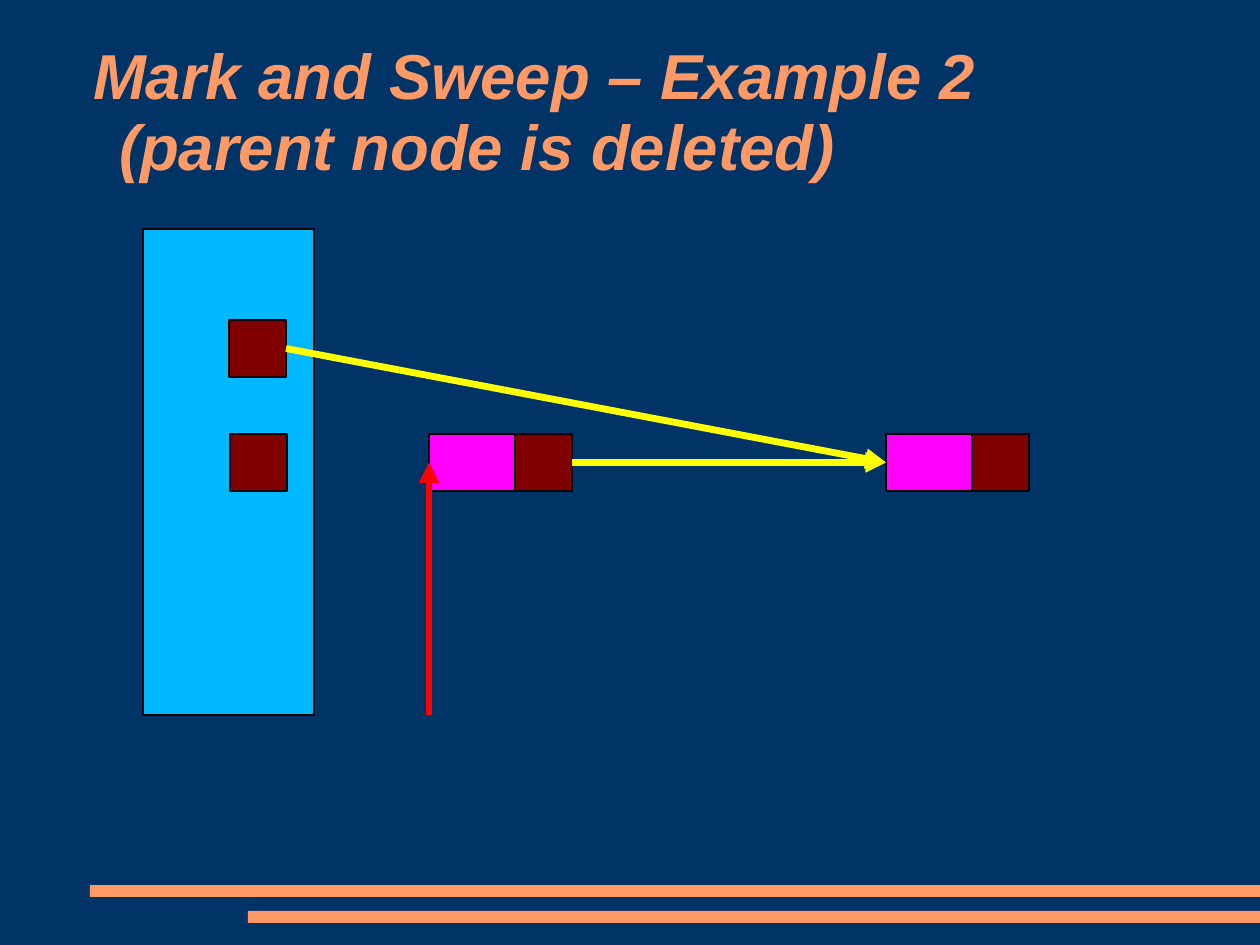
from typing import NamedTuple, Optional

from pptx import Presentation
from pptx.dml.color import RGBColor
from pptx.enum.shapes import MSO_CONNECTOR as Conn, MSO_SHAPE as Shp
from pptx.enum.text import MSO_ANCHOR as Anchor, MSO_AUTO_SIZE as AutoSize, PP_ALIGN as Align
from pptx.oxml.ns import qn
from pptx.util import Emu, Pt

PX = 8000  # EMU per px
WIDTH, HEIGHT = 1260, 945
NAVY, ORANGE, BLACK = "003366", "FF9966", "000000"
SKY, MAROON, MAGENTA = "00B8FF", "800000", "FF00FF"
YELLOW, RED = "FFFF00", "FF0000"
CELL = 57
NODE_W = 143
ROW_Y = 434
TOP, LEFT, BOTTOM, RIGHT = range(4)  # connection sites


class Box(NamedTuple):
    x: int
    y: int
    w: int
    h: int
    fill: str
    line: Optional[str] = BLACK


def px(n: int) -> Emu:
    return Emu(n * PX)


def rgb(hex_color: str) -> RGBColor:
    return RGBColor.from_string(hex_color)


def draw_box(slide, box: Box):
    s = slide.shapes.add_shape(Shp.RECTANGLE, px(box.x), px(box.y), px(box.w), px(box.h))
    s.shadow.inherit = False
    s.fill.solid()
    s.fill.fore_color.rgb = rgb(box.fill)
    if box.line:
        s.line.color.rgb = rgb(box.line)
        s.line.width = Pt(0.75)
    else:
        s.line.fill.background()
    return s


def draw_cell(slide, x: int, y: int):
    return draw_box(slide, Box(x, y, CELL, CELL, MAROON))


def draw_node(slide, x: int):
    """Draw a list node: a data field with a pointer cell at its right end."""
    data = draw_box(slide, Box(x, ROW_Y, NODE_W, CELL, MAGENTA))
    pointer = draw_cell(slide, x + NODE_W - CELL, ROW_Y)
    return data, pointer


def draw_arrow(slide, color: str, target, source=None, start: tuple[int, int] = (0, 0)) -> None:
    """Point at the left side of target, from the right side of source or from start."""
    x, y = map(px, start)
    c = slide.shapes.add_connector(Conn.STRAIGHT, x, y, x, y)
    if source is not None:
        c.begin_connect(source, RIGHT)
    c.end_connect(target, LEFT)
    c.line.color.rgb = rgb(color)
    c.line.width = Pt(4.31)
    ln = c.line._get_or_add_ln()
    ln.append(ln.makeelement(qn("a:tailEnd"), {"type": "triangle"}))
    sp_pr = c._element.spPr
    sp_pr.append(sp_pr.makeelement(qn("a:effectLst"), {}))


def set_title(slide, text: str) -> None:
    title = slide.shapes.title
    title.left, title.top, title.width, title.height = map(px, (93, 35, 1075, 158))
    tf = title.text_frame
    tf.margin_left = tf.margin_top = tf.margin_right = tf.margin_bottom = 0
    tf.vertical_anchor = Anchor.MIDDLE
    tf.auto_size = AutoSize.NONE
    tf.word_wrap = True
    p = tf.paragraphs[0]
    p.text = text
    p.alignment = Align.LEFT
    p.line_spacing = 0.93
    p.space_before = Pt(0)
    hanging = px(26)
    p_pr = p._p.get_or_add_pPr()
    p_pr.set("marL", str(hanging))
    p_pr.set("indent", str(-hanging))
    for r in p.runs:
        r.font.name = "Arial"
        r.font.size = Pt(40)
        r.font.bold = r.font.italic = True
        r.font.color.rgb = rgb(ORANGE)


def main() -> None:
    prs = Presentation()
    prs.slide_width, prs.slide_height = px(WIDTH), px(HEIGHT)
    slide = prs.slides.add_slide(prs.slide_layouts.get_by_name("Title Only"))
    slide.background.fill.solid()
    slide.background.fill.fore_color.rgb = rgb(NAVY)

    # Footer bars running to the right edge
    for x, y in ((90, 885), (248, 911)):
        draw_box(slide, Box(x, y, WIDTH - x, 12, ORANGE, None))

    set_title(slide, "Mark and Sweep – Example 2\v(parent node is deleted)")

    # Root block with its two pointers
    draw_box(slide, Box(143, 229, 171, 486, SKY))
    root = draw_cell(slide, 229, 320)
    draw_cell(slide, 230, ROW_Y)

    # Parent and child nodes
    parent, parent_pointer = draw_node(slide, 429)
    child, _ = draw_node(slide, 886)

    # References
    draw_arrow(slide, YELLOW, child, source=root)
    draw_arrow(slide, RED, parent, start=(429, 715))
    draw_arrow(slide, YELLOW, child, source=parent_pointer)

    prs.save("out.pptx")


if __name__ == "__main__":
    main()
